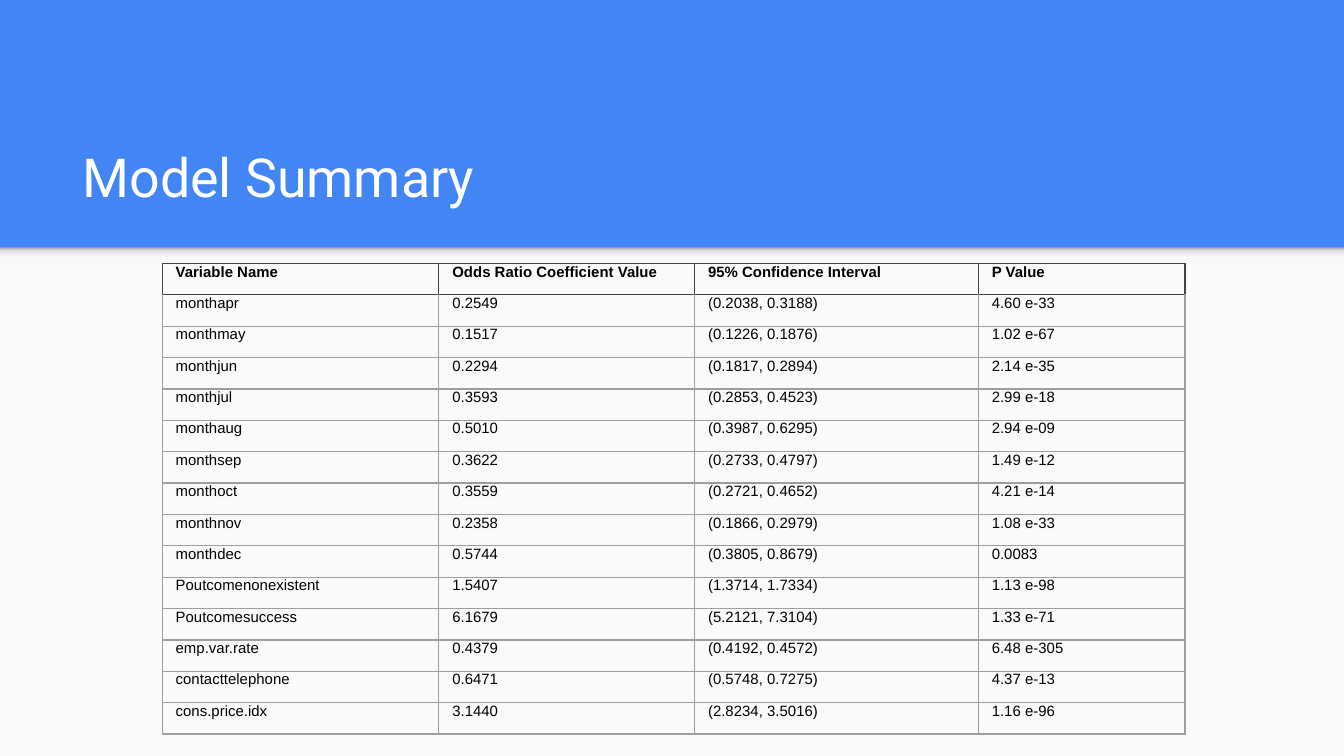
from typing import NamedTuple

from lxml.etree import SubElement
from pptx import Presentation
from pptx.dml.color import RGBColor
from pptx.enum.shapes import MSO_SHAPE
from pptx.enum.text import MSO_ANCHOR
from pptx.oxml.ns import qn
from pptx.util import Pt


class Result(NamedTuple):
    variable: str
    odds_ratio: str
    interval: str
    p_value: str


class Box(NamedTuple):
    left: float
    top: float
    width: float
    height: float


HEADER = Result("Variable Name", "Odds Ratio Coefficient Value",
                "95% Confidence Interval", "P Value")
RESULTS = [
    Result("monthapr", "0.2549", "(0.2038, 0.3188)", "4.60 e-33"),
    Result("monthmay", "0.1517", "(0.1226, 0.1876)", "1.02 e-67"),
    Result("monthjun", "0.2294", "(0.1817, 0.2894)", "2.14 e-35"),
    Result("monthjul", "0.3593", "(0.2853, 0.4523)", "2.99 e-18"),
    Result("monthaug", "0.5010", "(0.3987, 0.6295)", "2.94 e-09"),
    Result("monthsep", "0.3622", "(0.2733, 0.4797)", "1.49 e-12"),
    Result("monthoct", "0.3559", "(0.2721, 0.4652)", "4.21 e-14"),
    Result("monthnov", "0.2358", "(0.1866, 0.2979)", "1.08 e-33"),
    Result("monthdec", "0.5744", "(0.3805, 0.8679)", "0.0083"),
    Result("Poutcomenonexistent", "1.5407", "(1.3714, 1.7334)", "1.13 e-98"),
    Result("Poutcomesuccess", "6.1679", "(5.2121, 7.3104)", "1.33 e-71"),
    Result("emp.var.rate", "0.4379", "(0.4192, 0.4572)", "6.48 e-305"),
    Result("contacttelephone", "0.6471", "(0.5748, 0.7275)", "4.37 e-13"),
    Result("cons.price.idx", "3.1440", "(2.8234, 3.5016)", "1.16 e-96"),
]
COLUMN_WIDTHS = [148.2, 137, 152, 110.8]
ROW_HEIGHT = 16.2
INSET = 7.2
DARK, GREY = "424242", "9E9E9E"
SHADOW_STOPS = [(0, "F9F9F9"), (36, "F9F9F9"), (80, "DEDEDE"), (100, "999999")]


def rgb(value: str) -> RGBColor:
    return RGBColor.from_string(value)


def points(box: Box) -> list:
    return [Pt(n) for n in box]


def add_run(p, text: str, font: str, size: float, color: str, bold: bool = False) -> None:
    r = p.add_run()
    r.text = text
    r.font.name, r.font.size, r.font.bold = font, Pt(size), bold
    r.font.color.rgb = rgb(color)


def add_rect(s, box: Box, color: str):
    sp = s.shapes.add_shape(MSO_SHAPE.RECTANGLE, *points(box))
    sp.shadow.inherit = False
    sp.fill.solid()
    sp.fill.fore_color.rgb = rgb(color)
    sp.line.fill.background()
    return sp


def fill_gradient(sp, stops: list[tuple[int, str]], angle: float) -> None:
    sp.fill.gradient()
    sp.fill.gradient_angle = angle
    stop_list = sp.element.spPr.find(".//" + qn("a:gsLst"))
    for stop in list(stop_list):
        stop_list.remove(stop)
    for position, color in stops:
        stop = SubElement(stop_list, qn("a:gs"), pos=str(position * 1000))
        SubElement(stop, qn("a:srgbClr"), val=color)


def set_borders(cell, color: str, top_color: str) -> None:
    tc_pr = cell.fill._xPr
    for i, side in enumerate(("lnL", "lnR", "lnT", "lnB")):
        ln = SubElement(tc_pr, qn(f"a:{side}"), w=str(Pt(0.75)))
        tc_pr.insert(i, ln)
        fill = SubElement(ln, qn("a:solidFill"))
        SubElement(fill, qn("a:srgbClr"), val=top_color if side == "lnT" else color)


def add_results(s, left: float, top: float, rows: list[Result]) -> None:
    box = Box(left, top, sum(COLUMN_WIDTHS), ROW_HEIGHT * len(rows))
    table = s.shapes.add_table(len(rows), len(COLUMN_WIDTHS), *points(box)).table
    table.first_row = table.horz_banding = False
    for column, width in zip(table.columns, COLUMN_WIDTHS):
        column.width = Pt(width)
    for i, values in enumerate(rows):
        table.rows[i].height = Pt(ROW_HEIGHT)
        for j, text in enumerate(values):
            cell = table.cell(i, j)
            cell.margin_left = cell.margin_bottom = Pt(INSET)
            cell.margin_top = cell.margin_right = 0
            cell.fill.background()
            # The first result shares its top edge with the dark header
            set_borders(cell, DARK if i == 0 else GREY, DARK if i < 2 else GREY)
            add_run(cell.text_frame.paragraphs[0], text, "Arial", 8, "000000", i == 0)


def add_title(s, box: Box, text: str) -> None:
    tf = s.shapes.add_textbox(*points(box)).text_frame
    tf.word_wrap = True
    tf.vertical_anchor = MSO_ANCHOR.BOTTOM
    tf.margin_left = tf.margin_top = tf.margin_right = tf.margin_bottom = Pt(INSET)
    add_run(tf.paragraphs[0], text, "Roboto", 28.8, "FFFFFF")


def main() -> None:
    prs = Presentation()
    prs.slide_width, prs.slide_height = Pt(720), Pt(405)
    s = prs.slides.add_slide(prs.slide_layouts[6])

    # Blue background, light panel and the shadow under the title band
    s.background.fill.solid()
    s.background.fill.fore_color.rgb = rgb("4285F4")
    add_rect(s, Box(0, 132.5, 720, 272.5), "FAFAFA")
    shadow = add_rect(s, Box(0, 132.5, 720, 8.6), "F9F9F9")
    fill_gradient(shadow, SHADOW_STOPS, 90)

    # Title and results
    add_title(s, Box(37.2, 58.4, 647.2, 60.4), "Model Summary")
    add_results(s, 86.9, 141.1, [HEADER, *RESULTS])

    prs.save("out.pptx")


if __name__ == "__main__":
    main()
